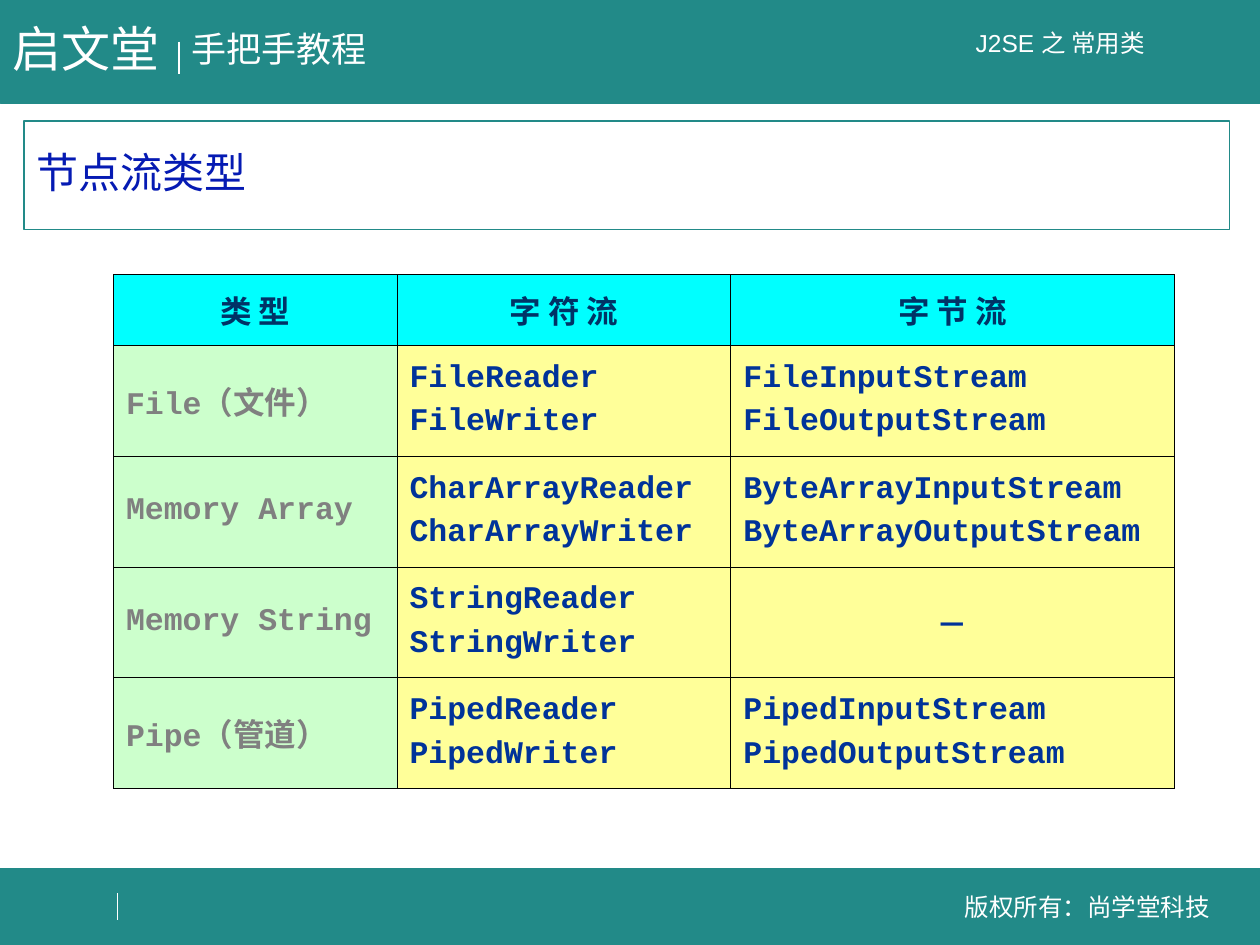
from lxml.etree import SubElement
from pptx import Presentation
from pptx.dml.color import RGBColor
from pptx.enum.shapes import MSO_CONNECTOR, MSO_SHAPE
from pptx.enum.text import MSO_ANCHOR, PP_ALIGN
from pptx.oxml.ns import qn
from pptx.util import Inches, Pt

TEAL = RGBColor(0x22, 0x8A, 0x88)
WHITE = RGBColor(0xFF, 0xFF, 0xFF)
TITLE_BLUE = RGBColor(0x05, 0x1A, 0xB3)
HEADER_NAVY = RGBColor(0x00, 0x33, 0x66)
CLASS_BLUE = RGBColor(0x00, 0x33, 0x99)
GRAY = RGBColor(0x80, 0x80, 0x80)
CYAN = RGBColor(0x00, 0xFF, 0xFF)
PALE_GREEN = RGBColor(0xCC, 0xFF, 0xCC)
PALE_YELLOW = RGBColor(0xFF, 0xFF, 0x99)

CJK_FONT = "Noto Sans CJK SC"
TITLE = "节点流类型"
BANDS = [(6.89, 0.61), (0, 0.82)]
DIVIDERS = [(1.42, 0.33, 0.59), (0.93, 7.09, 7.3)]
LABELS = [
    ("手把手教程", (1.42, 0.17, 1.65, 0.44), 20, PP_ALIGN.LEFT, MSO_ANCHOR.TOP),
    ("版权所有：尚学堂科技", (7.47, 7.03, 2.32, 0.34), 14, PP_ALIGN.CENTER, MSO_ANCHOR.MIDDLE),
    ("J2SE 之 常用类", (6.83, 0.17, 3.17, 0.34), 14, PP_ALIGN.CENTER, MSO_ANCHOR.MIDDLE),
    ("启文堂", (0, 0.1, 1.42, 0.57), 28, PP_ALIGN.LEFT, MSO_ANCHOR.TOP),
]
ROWS = [
    ("类 型", "字 符 流", "字 节 流"),
    ("File（文件）", "FileReader\nFileWriter", "FileInputStream\nFileOutputStream"),
    ("Memory Array", "CharArrayReader\nCharArrayWriter", "ByteArrayInputStream\nByteArrayOutputStream"),
    ("Memory String", "StringReader\nStringWriter", "－"),
    ("Pipe（管道）", "PipedReader\nPipedWriter", "PipedInputStream\nPipedOutputStream"),
]
COLUMN_WIDTHS = [2.25, 2.65, 3.52]
HEADER_HEIGHT = 0.56
BODY_HEIGHT = 0.88


def style_text(frame, size, font_name, color, align, bold=False, space_after=0):
    for para in frame.paragraphs:
        para.alignment = align
        para.space_after = Pt(space_after)
        for span in para.runs:
            span.font.size = Pt(size)
            span.font.name = font_name
            span.font.bold = bold
            span.font.color.rgb = color
            SubElement(span.font._element, qn("a:ea"), typeface=CJK_FONT)


def add_rectangle(slide, left, top, width, height, line_width):
    box = slide.shapes.add_shape(MSO_SHAPE.RECTANGLE, *map(Inches, (left, top, width, height)))
    box.shadow.inherit = False
    box.line.color.rgb = TEAL
    box.line.width = Pt(line_width)
    return box


def add_divider(slide, x, top, bottom):
    divider = slide.shapes.add_connector(MSO_CONNECTOR.STRAIGHT, *map(Inches, (x, top, x, bottom)))
    divider.line.color.rgb = WHITE
    divider.line.width = Pt(0.75)
    SubElement(divider._element.spPr, qn("a:effectLst"))


def add_label(slide, text, place, size, align, anchor):
    box = slide.shapes.add_textbox(*map(Inches, place))
    frame = box.text_frame
    frame.text = text
    frame.word_wrap = True
    frame.margin_right = 0 if align == PP_ALIGN.LEFT else Inches(0.1)
    frame.vertical_anchor = anchor
    style_text(frame, size, "Arial", WHITE, align)


def add_title(slide):
    box = add_rectangle(slide, 0.19, 0.96, 9.57, 0.86, 0.75)
    box.fill.background()
    frame = box.text_frame
    frame.text = TITLE
    frame.word_wrap = True
    frame.vertical_anchor = MSO_ANCHOR.MIDDLE
    frame.paragraphs[0].line_spacing = 0.9
    style_text(frame, 24, CJK_FONT, TITLE_BLUE, PP_ALIGN.LEFT)


def add_borders(cell):
    properties = cell._tc.get_or_add_tcPr()
    for side in ("lnL", "lnR", "lnT", "lnB"):
        border = SubElement(properties, qn(f"a:{side}"), w=str(Pt(0.45)))
        fill = SubElement(border, qn("a:solidFill"))
        SubElement(fill, qn("a:srgbClr"), val="000000")


def cell_colors(row, column):
    if row == 0:
        return CYAN, HEADER_NAVY
    if column == 0:
        return PALE_GREEN, GRAY
    return PALE_YELLOW, CLASS_BLUE


def add_stream_table(slide):
    heights = [HEADER_HEIGHT] + [BODY_HEIGHT] * (len(ROWS) - 1)
    size = (sum(COLUMN_WIDTHS), sum(heights))
    table = slide.shapes.add_table(
        len(ROWS), len(COLUMN_WIDTHS), *map(Inches, (0.9, 2.18, *size))).table
    table.first_row = False
    table.horz_banding = False
    for column, width in zip(table.columns, COLUMN_WIDTHS):
        column.width = Inches(width)
    for row, height in zip(table.rows, heights):
        row.height = Inches(height)
    for row, texts in enumerate(ROWS):
        for column, text in enumerate(texts):
            cell = table.cell(row, column)
            fill, color = cell_colors(row, column)
            add_borders(cell)
            cell.fill.solid()
            cell.fill.fore_color.rgb = fill
            cell.vertical_anchor = MSO_ANCHOR.MIDDLE
            cell.text_frame.text = text
            centered = row == 0 or text == "－"
            align = PP_ALIGN.CENTER if centered else PP_ALIGN.LEFT
            style_text(cell.text_frame, 18, "Courier New", color, align, True, 4.5)


def main():
    deck = Presentation()
    deck.slide_width = Inches(10)
    deck.slide_height = Inches(7.5)
    page = deck.slides.add_slide(deck.slide_layouts[6])
    for top, height in BANDS:
        band = add_rectangle(page, 0, top, 10, height, 0.25)
        band.fill.solid()
        band.fill.fore_color.rgb = TEAL
    for divider in DIVIDERS:
        add_divider(page, *divider)
    for label in LABELS:
        add_label(page, *label)
    add_title(page)
    add_stream_table(page)
    deck.save("out.pptx")


if __name__ == "__main__":
    main()
